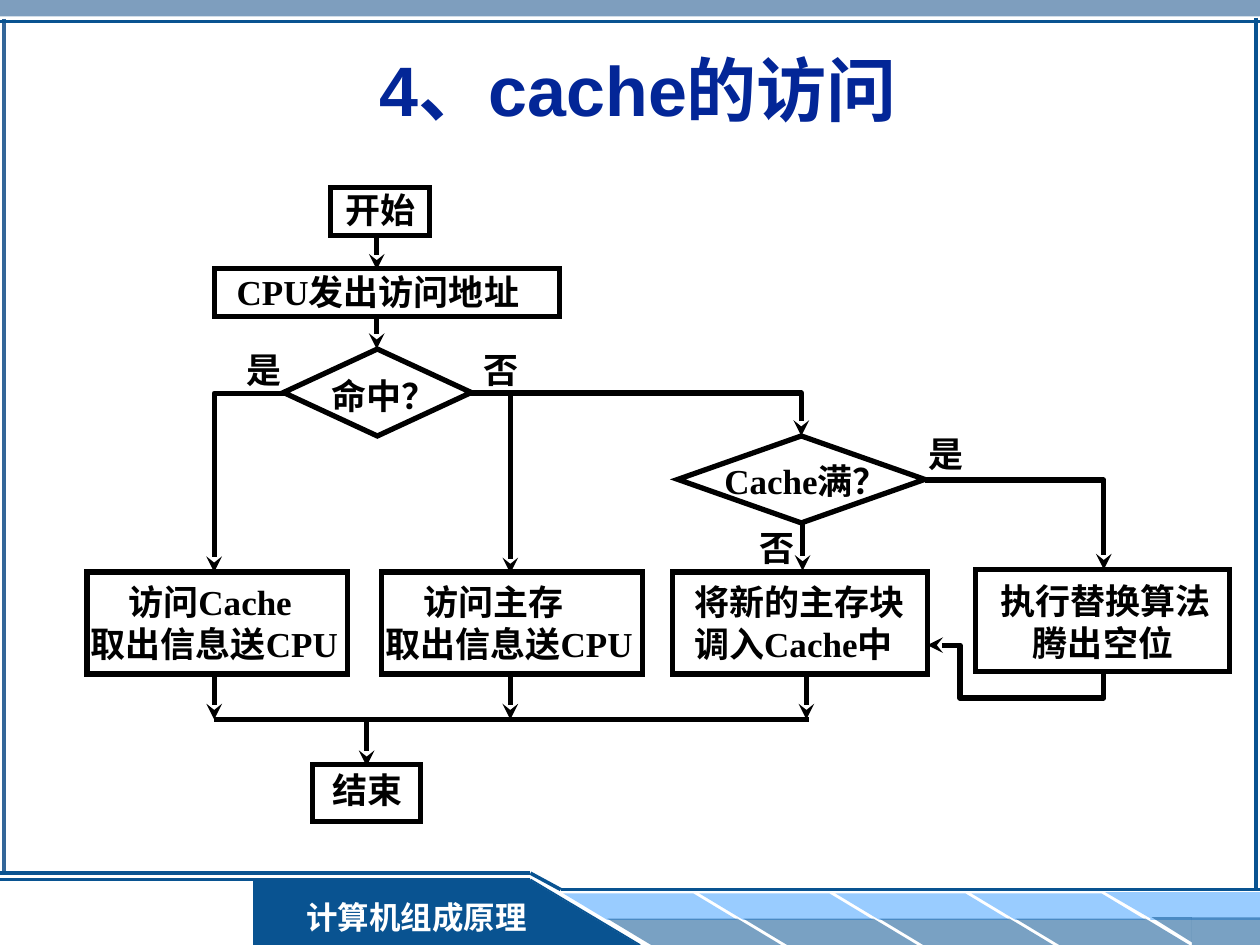
import lxml.etree
import pptx
import pptx.dml.color
import pptx.enum.shapes
import pptx.enum.text
import pptx.oxml.ns
import pptx.util

SHAPE = pptx.enum.shapes.MSO_SHAPE
STRAIGHT = pptx.enum.shapes.MSO_CONNECTOR.STRAIGHT
ALIGN = pptx.enum.text.PP_ALIGN
qn = pptx.oxml.ns.qn
BLUE, SKY, STEEL, BLACK = "095391", "99CCFF", "336699", "000000"

deck = pptx.Presentation()
deck.slide_width = pptx.util.Inches(10)
deck.slide_height = pptx.util.Inches(7.5)
cell = deck.slide_width / 10  # the grid has 10 columns and 7.5 rows
page = deck.slides.add_slide(deck.slide_layouts[5])
shapes = page.shapes


def paint(shape, fill=None, line=None, weight=3, alpha=None, arrow=False):
    """Set fill, outline, opacity in percent and arrowhead; remove the shadow."""
    if hasattr(shape, "fill"):
        shape.shadow.inherit = False
        shape.fill.background()
        if fill:
            shape.fill.solid()
            shape.fill.fore_color.rgb = pptx.dml.color.RGBColor.from_string(fill)
        if alpha:
            color = shape._element.spPr.find(f"{qn('a:solidFill')}/{qn('a:srgbClr')}")
            lxml.etree.SubElement(color, qn("a:alpha"), val=str(alpha * 1000))
    if not line:
        shape.line.fill.background()
        return
    shape.line.width = pptx.util.Pt(weight)
    shape.line.color.rgb = pptx.dml.color.RGBColor.from_string(line)
    outline = shape._element.spPr.find(qn("a:ln"))
    if arrow:
        lxml.etree.SubElement(outline, qn("a:tailEnd"), type="stealth")
    else:
        lxml.etree.SubElement(outline, qn("a:miter"), lim="800000")
    if not hasattr(shape, "fill"):
        lxml.etree.SubElement(shape._element.spPr, qn("a:effectLst"))


def write(frame, lines, size=20, color=BLACK, name="Times New Roman",
          align=ALIGN.LEFT, indents=(0, 0)):
    """Fill a text frame, one paragraph a line, each with its own indent."""
    for number, words in enumerate(lines):
        para = frame.paragraphs[0] if number == 0 else frame.add_paragraph()
        para.alignment = align
        if indents[number]:
            para._p.get_or_add_pPr().set("marL", str(int(cell * indents[number])))
        span = para.add_run()
        span.text = words
        looks = {"size": pptx.util.Pt(size), "name": name, "bold": True}
        for key, value in looks.items():
            setattr(span.font, key, value)
        span.font.color.rgb = pptx.dml.color.RGBColor.from_string(color)


# Frame and footer: kind, place, fill, opacity, flips
panels = [
    (SHAPE.RECTANGLE, (0, 0, 10, 0.13), STEEL, 63, ()),
    (SHAPE.RECTANGLE, (2.01, 6.98, 2.2, 0.52), BLUE, None, ()),
]
for step in range(4):
    left = 4.47 + 1.08 * step
    panels += [
        (SHAPE.PARALLELOGRAM, (left, 7.09, 1.38, 0.21), SKY, None, ("flipH",)),
        (SHAPE.PARALLELOGRAM, (left + 0.35, 7.29, 1.38, 0.21), BLUE, 54, ("flipH",)),
    ]
panels += [
    (SHAPE.RECTANGLE, (9.13, 7.08, 0.87, 0.22), SKY, None, ()),
    (SHAPE.RIGHT_TRIANGLE, (8.77, 7.08, 0.38, 0.22), SKY, None, ("flipH", "flipV")),
    (SHAPE.RECTANGLE, (9.46, 7.28, 0.54, 0.22), BLUE, 54, ()),
    (SHAPE.RIGHT_TRIANGLE, (9.14, 7.28, 0.32, 0.2), BLUE, 54, ("flipH", "flipV")),
    (SHAPE.RIGHT_TRIANGLE, (4.2, 6.98, 0.87, 0.52), BLUE, None, ()),
]
for kind, place, fill, alpha, flips in panels:
    panel = shapes.add_shape(kind, *[int(cell * value) for value in place])
    if kind == SHAPE.PARALLELOGRAM:
        panel.adjustments[0] = 1.66
    for flip in flips:
        panel._element.spPr.find(qn("a:xfrm")).set(flip, "1")
    paint(panel, fill, alpha=alpha)

banner = shapes.add_shape(
    SHAPE.RECTANGLE, *[int(cell * value) for value in (2.28, 7.08, 2.05, 0.4)])
paint(banner, BLUE)
write(banner.text_frame, ["计算机组成原理"], 18, "FFFFFF", align=ALIGN.CENTER)

# Straight lines: from, to, colour, weight, arrow
rules = [
    ((0.03, 0.15), (0.03, 6.93), STEEL, 2, False),
    ((5.08, 7.5), (4.21, 6.98), BLUE, 1, False),
    ((4.21, 6.98), (0, 6.98), BLUE, 1.5, False),
    ((0, 6.93), (4.21, 6.93), BLUE, 2, False),
    ((4.21, 6.93), (4.45, 7.06), BLUE, 2, False),
    ((4.45, 7.06), (10, 7.06), BLUE, 2, False),
    ((0, 0.17), (10, 0.17), BLUE, 2, False),
    ((9.97, 0.14), (9.97, 7.07), BLUE, 2, False),
    ((1.7, 5.71), (6.42, 5.71), BLACK, 3, False),
]
drops = [(2.99, 1.89, 2.14), (2.99, 2.52, 2.77), (4.05, 3.13, 4.55),
         (6.37, 4.15, 4.53), (2.91, 5.7, 6.08)]
drops += [(column, 5.33, 5.71) for column in (1.7, 4.05, 6.4)]
rules += [((x, top), (x, bottom), BLACK, 3, True) for x, top, bottom in drops]
for start, end, color, weight, arrow in rules:
    rule = shapes.add_connector(STRAIGHT, *[int(cell * value) for value in start + end])
    paint(rule, line=color, weight=weight, arrow=arrow)

# Bent arrows, in hundredths of a column
bends = [
    [(373, 312), (636, 312), (636, 346)],
    [(227, 312), (170, 312), (170, 454)],
    [(734, 381), (876, 381), (876, 452)],
    [(876, 532), (876, 554), (762, 554), (762, 512), (736, 512)],
]
for points in bends:
    builder = shapes.build_freeform(*points[0], scale=cell / 100)
    builder.add_line_segments(points[1:], close=False)
    paint(builder.convert_to_shape(), line=BLACK, arrow=True)

# Flowchart outlines
outlines = [
    (SHAPE.RECTANGLE, (2.62, 1.49, 0.79, 0.38)),
    (SHAPE.RECTANGLE, (1.7, 2.13, 2.74, 0.38)),
    (SHAPE.DIAMOND, (2.25, 2.77, 1.49, 0.69)),
    (SHAPE.DIAMOND, (5.38, 3.46, 1.96, 0.69)),
    (SHAPE.RECTANGLE, (0.69, 4.54, 2.07, 0.81)),
    (SHAPE.RECTANGLE, (3.03, 4.54, 2.07, 0.81)),
    (SHAPE.RECTANGLE, (5.34, 4.54, 2.02, 0.81)),
    (SHAPE.RECTANGLE, (7.74, 4.52, 2.02, 0.81)),
    (SHAPE.RECTANGLE, (2.48, 6.07, 0.86, 0.45)),
]
for kind, place in outlines:
    paint(shapes.add_shape(kind, *[int(cell * value) for value in place]), line=BLACK)

# Flowchart wording: left, top, width, lines, indents
labels = [
    (2.64, 1.45, 0.8, ["开始"], (0,)),
    (1.78, 2.1, 2.51, ["CPU发出访问地址"], (0,)),
    (2.53, 2.92, 1.03, ["命中？"], (0,)),
    (5.65, 3.6, 1.56, ["Cache满？"], (0,)),
    (0.62, 4.56, 2.23, ["访问Cache", "取出信息送CPU"], (0.3, 0)),
    (2.96, 4.56, 2.23, ["访问主存", "取出信息送CPU"], (0.3, 0)),
    (5.41, 4.56, 1.91, ["将新的主存块", "调入Cache中"], (0, 0)),
    (7.84, 4.55, 1.87, ["执行替换算法", "腾出空位"], (0, 0.26)),
    (2.54, 6.05, 0.8, ["结束"], (0,)),
    (1.86, 2.72, 0.48, ["是"], (0,)),
    (3.74, 2.72, 0.48, ["否"], (0,)),
    (7.27, 3.38, 0.48, ["是"], (0,)),
    (5.93, 4.13, 0.48, ["否"], (0,)),
]
for left, top, width, lines, indents in labels:
    place = (left, top, width, 0.11 + 0.33 * len(lines))
    box = shapes.add_textbox(*[int(cell * value) for value in place])
    box.text_frame.word_wrap = False
    box.text_frame.auto_size = pptx.enum.text.MSO_AUTO_SIZE.SHAPE_TO_FIT_TEXT
    write(box.text_frame, lines, indents=indents)

title = shapes.title
for side, value in {"left": 0.33, "top": 0.35, "width": 9.47, "height": 0.71}.items():
    setattr(title, side, int(cell * value))
title.text_frame.vertical_anchor = pptx.enum.text.MSO_ANCHOR.MIDDLE
write(title.text_frame, ["4、cache的访问"], 40, "032697", "Arial", ALIGN.CENTER)

deck.save("out.pptx")
